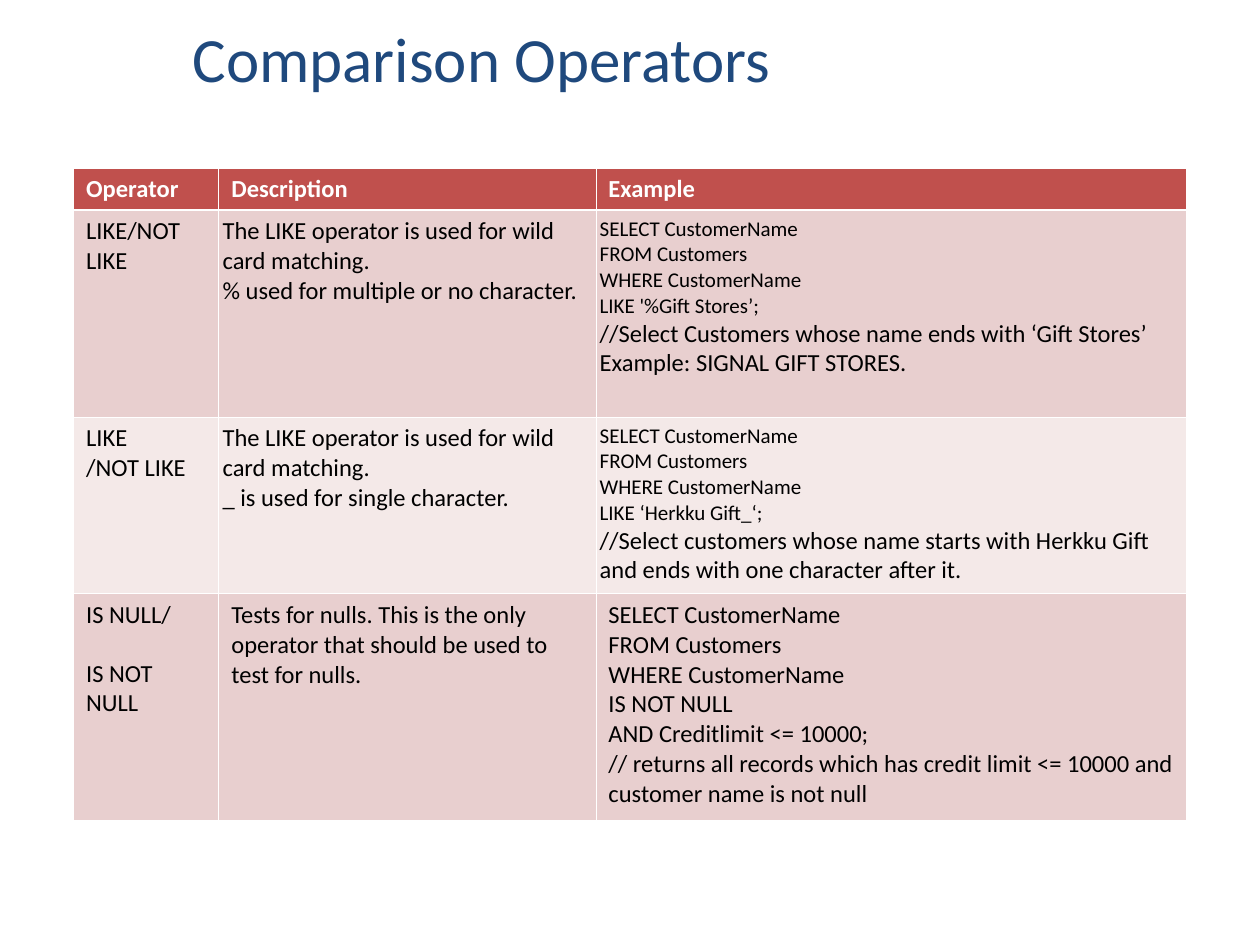
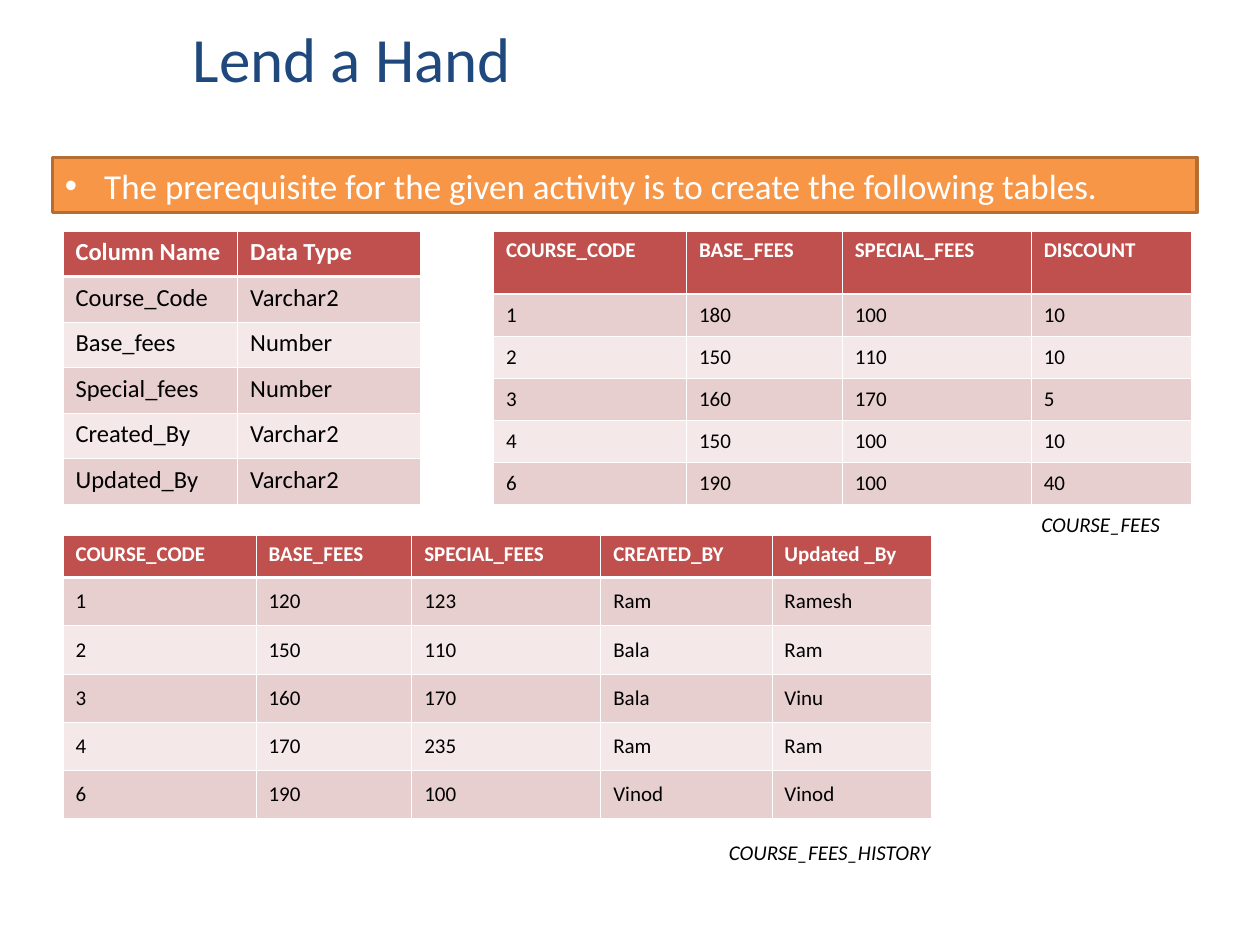
from dataclasses import dataclass

from lxml import etree
from pptx import Presentation
from pptx.dml.color import RGBColor
from pptx.enum import shapes, text
from pptx.oxml import ns
from pptx.util import Pt


@dataclass(frozen=True)
class Theme:
    font: str = "Calibri"
    title: str = "1F497D"
    head: str = "C0504D"
    bands: tuple = ("E8CFCF", "F4E9E8")
    banner: str = "F79646"
    edge: str = "B46D33"
    white: str = "FFFFFF"
    ink: str = "000000"
    big: int = 36
    lead: int = 20
    body: int = 14
    small: int = 12
    thin: float = 0.45
    thick: float = 1.47


def sub(node, tag, **attrs):
    return etree.SubElement(node, ns.qn(tag), attrs)


class Deck:
    def __init__(self, theme):
        self.theme = theme
        self.prs = Presentation()
        self.prs.slide_width, self.prs.slide_height = Pt(720), Pt(540)
        self.slide = None

    def start(self, title):
        """Add a slide with its title."""
        self.slide = self.prs.slides.add_slide(self.prs.slide_layouts[6])
        t = self.theme
        box = self.label(title, (103, 0, 617, 66), t.big, t.title)
        box.text_frame.vertical_anchor = text.MSO_ANCHOR.MIDDLE

    def style(self, frame, words, size, color, bold=False, italic=False):
        """Put words in a frame and format every run."""
        frame.text = words
        for para in frame.paragraphs:
            para.alignment = text.PP_ALIGN.LEFT
            for run in para.runs:
                font = run.font
                font.name, font.size = self.theme.font, Pt(size)
                font.bold, font.italic = bold, italic
                font.color.rgb = RGBColor.from_string(color)

    def label(self, words, area, size, color, italic=False, wrap=True):
        box = self.slide.shapes.add_textbox(*map(Pt, area))
        box.text_frame.word_wrap = wrap
        self.style(box.text_frame, words, size, color, italic=italic)
        return box

    def caption(self, words, area, wrap=True):
        self.label(words, area, self.theme.small, self.theme.ink, True, wrap)

    def banner(self, words, area):
        """Add a filled bar with one bulleted line."""
        t = self.theme
        bar = self.slide.shapes.add_shape(
            shapes.MSO_SHAPE.RECTANGLE, *map(Pt, area))
        bar.shadow.inherit = False
        bar.fill.solid()
        bar.fill.fore_color.rgb = RGBColor.from_string(t.banner)
        bar.line.color.rgb = RGBColor.from_string(t.edge)
        bar.line.width = Pt(2)
        self.style(bar.text_frame, words, t.lead, t.white)
        props = bar.text_frame.paragraphs[0]._p.get_or_add_pPr()
        props.set("marL", str(Pt(22.5)))
        props.set("indent", str(-Pt(22.5)))
        sub(sub(props, "a:buClr"), "a:srgbClr", val=t.white)
        sub(props, "a:buFont", typeface="Arial")
        sub(props, "a:buChar", char="•")

    def edges(self, cell, row):
        """Draw white borders, with a thick rule under the header row."""
        t = self.theme
        props = cell._tc.get_or_add_tcPr()
        widths = {"L": t.thin, "R": t.thin,
                  "T": t.thick if row == 1 else t.thin,
                  "B": t.thick if row == 0 else t.thin}
        for spot, (side, width) in enumerate(widths.items()):
            line = sub(props, f"a:ln{side}", w=str(Pt(width)))
            sub(sub(line, "a:solidFill"), "a:srgbClr", val=t.white)
            props.insert(spot, line)

    def table(self, rows, spot, cols, heights, size, middle=False):
        t = self.theme
        grid = self.slide.shapes.add_table(
            len(rows), len(cols), *map(Pt, (*spot, sum(cols), sum(heights)))
        ).table
        for col, width in zip(grid.columns, cols):
            col.width = Pt(width)
        for r, (row, height) in enumerate(zip(rows, heights)):
            grid.rows[r].height = Pt(height)
            fill = t.bands[(r - 1) % 2] if r else t.head
            for c, words in enumerate(row):
                cell = grid.cell(r, c)
                cell.fill.solid()
                cell.fill.fore_color.rgb = RGBColor.from_string(fill)
                if middle and r:
                    cell.vertical_anchor = text.MSO_ANCHOR.MIDDLE
                self.style(cell.text_frame, words, size,
                           t.ink if r else t.white, bold=r == 0)
                self.edges(cell, r)
        return grid


QUERY = "SELECT CustomerName\nFROM Customers\nWHERE CustomerName\n"
WILD = "The LIKE operator is used for wild card matching.\n"
OPERATORS = [
    ("Operator", "Description", "Example"),
    ("LIKE/NOT LIKE", WILD + "% used for multiple or no character.",
     QUERY + "LIKE '%Gift Stores’;\n"
     "//Select Customers whose name ends with ‘Gift Stores’\n"
     "Example: SIGNAL GIFT STORES."),
    ("LIKE\n/NOT LIKE", WILD + "_ is used for single character.",
     QUERY + "LIKE ‘Herkku Gift_‘;\n"
     "//Select customers whose name starts with Herkku Gift "
     "and ends with one character after it."),
    ("IS NULL/\nIS NOT NULL",
     "Tests for nulls. This is the only operator that should be used "
     "to test for nulls.",
     QUERY + "IS NOT NULL\nAND Creditlimit <= 10000;\n"
     "// returns all records which has credit limit <= 10000 and "
     "customer name is not null"),
]
COLUMNS = [
    ("Column Name", "Data Type"),
    ("Course_Code", "Varchar2"),
    ("Base_fees", "Number"),
    ("Special_fees", "Number"),
    ("Created_By", "Varchar2"),
    ("Updated_By", "Varchar2"),
]
KEYS = ("COURSE_CODE", "BASE_FEES", "SPECIAL_FEES")
FEES = [
    (*KEYS, "DISCOUNT"),
    ("1", "180", "100", "10"),
    ("2", "150", "110", "10"),
    ("3", "160", "170", "5"),
    ("4", "150", "100", "10"),
    ("6", "190", "100", "40"),
]
HISTORY = [
    (*KEYS, "CREATED_BY", "Updated _By"),
    ("1", "120", "123", "Ram", "Ramesh"),
    ("2", "150", "110", "Bala", "Ram"),
    ("3", "160", "170", "Bala", "Vinu"),
    ("4", "170", "235", "Ram", "Ram"),
    ("6", "190", "100", "Vinod", "Vinod"),
]


def compare(deck):
    t = deck.theme
    deck.start("Comparison Operators")
    grid = deck.table(OPERATORS, (42, 96), (83, 215.5, 337.5),
                      (24, 118.3, 101, 129.7), t.body)
    for r in (1, 2):
        for c in (1, 2):
            cell = grid.cell(r, c)
            cell.margin_left = cell.margin_right = Pt(2.2)
        for para in grid.cell(r, 2).text_frame.paragraphs[:4]:
            para.runs[0].font.size = Pt(t.small)
    grid.cell(3, 0).text_frame.paragraphs[1].space_before = Pt(16.5)


def lend(deck):
    t = deck.theme
    keys = (110.3, 89, 108)
    deck.start("Lend a Hand")
    deck.banner("The prerequisite for the given activity is to create "
                "the following tables.", (30, 90, 654, 31.5))
    deck.table(COLUMNS, (36, 132), (99.8, 104.2), [26] * 6, t.body)
    deck.table(FEES, (282, 132), (*keys, 91.5), (36, *[24] * 5),
               t.small, middle=True)
    deck.table(HISTORY, (36, 306), (*keys, 97.8, 91), (24, *[27.6] * 5),
               t.small, middle=True)
    deck.caption("COURSE_FEES", (588, 289, 126, 21.6))
    deck.caption("COURSE_FEES_HISTORY", (409.5, 476, 130, 21.6), wrap=False)


def main():
    deck = Deck(Theme())
    compare(deck)
    lend(deck)
    deck.prs.save("out.pptx")


if __name__ == "__main__":
    main()
